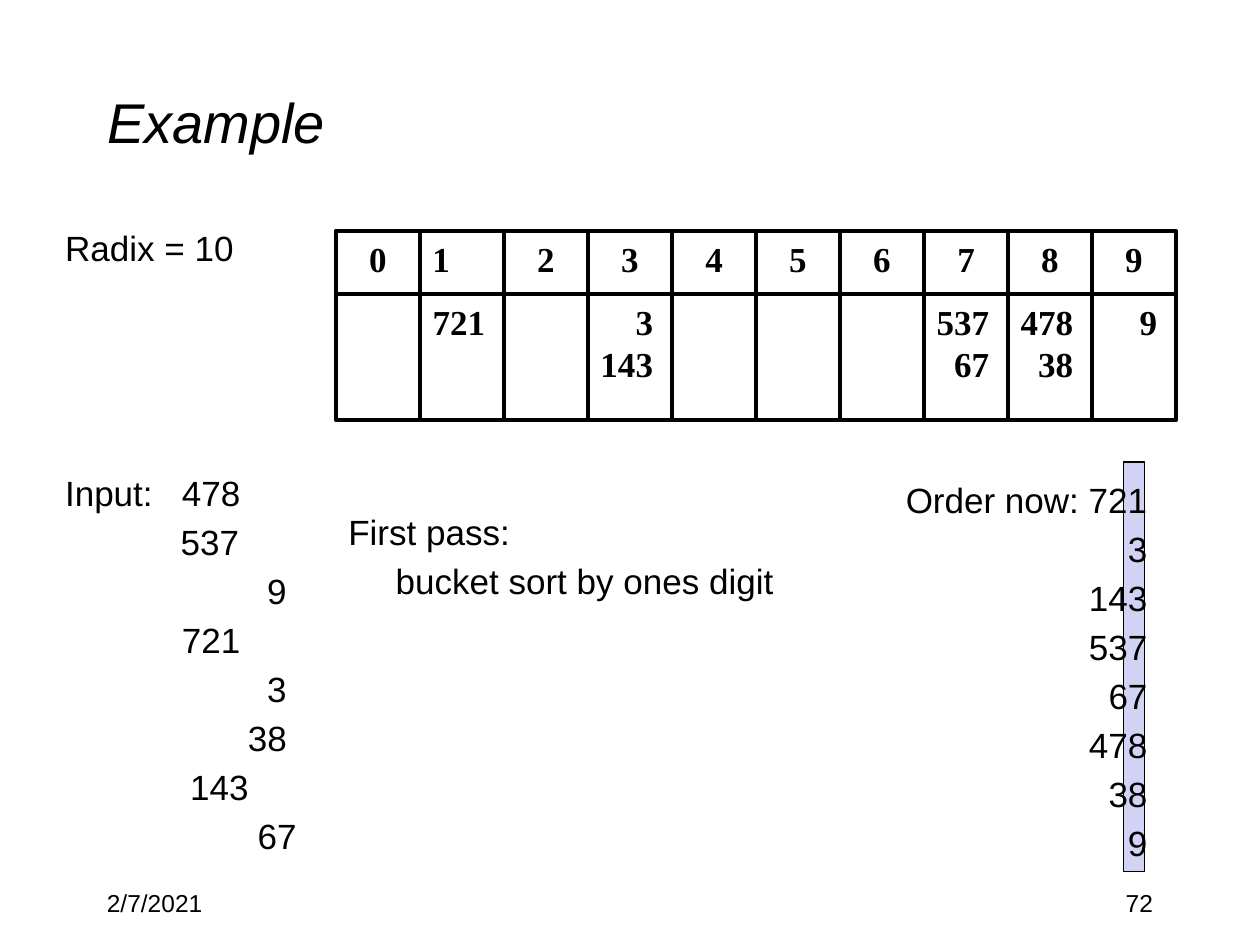
"""Build a slide showing the first pass of a radix sort."""
from lxml.etree import SubElement
from pptx import Presentation
from pptx.dml.color import RGBColor
from pptx.enum.shapes import MSO_SHAPE
from pptx.enum.text import MSO_ANCHOR, MSO_AUTO_SIZE, PP_ALIGN
from pptx.oxml.ns import qn
from pptx.util import Pt

COLORS = {"ink": "000000", "highlight": "D2D2F4"}
RADIX = 10
BUCKETS = {1: ["721"], 3: ["3", "143"], 7: ["537", "67"], 8: ["478", "38"], 9: ["9"]}
INPUT_INDENTS = [("537", 66), ("9", 115.5), ("721", 66.75), ("3", 115.5),
                 ("38", 104.5), ("143", 71.5), ("67", 110)]
ORDER = ["Order now: 721", "3", "143", "537", "67", "478", "38", "9"]


def color(name):
    return RGBColor.from_string(COLORS[name])


def write_paragraph(frame, text, first=False, size=20, font="Arial", bold=False, italic=False,
                    align=PP_ALIGN.LEFT, before=0, left=0, hanging=0, line_height=None):
    paragraph = frame.paragraphs[0] if first else frame.add_paragraph()
    paragraph.alignment = align
    paragraph.space_before = Pt(before)
    if line_height:
        paragraph.line_spacing = Pt(line_height)
    properties = paragraph._p.get_or_add_pPr()
    properties.set("marL", str(Pt(left)))
    properties.set("indent", str(-Pt(hanging)))
    SubElement(properties, qn("a:buNone"))
    run = paragraph.add_run()
    run.text = text
    run.font.name, run.font.size = font, Pt(size)
    run.font.bold, run.font.italic = bold, italic
    run.font.color.rgb = color("ink")


def place(shape, left, top, width, height, anchor=MSO_ANCHOR.TOP):
    shape.left, shape.top, shape.width, shape.height = map(Pt, (left, top, width, height))
    frame = shape.text_frame
    frame.word_wrap = True
    frame.auto_size = MSO_AUTO_SIZE.NONE
    frame.vertical_anchor = anchor
    return frame


def write_lines(frame, lines, **style):
    for index, line in enumerate(lines):
        write_paragraph(frame, line, first=index == 0, **style)


def add_text(slide, box, lines, margin_right=7.2, **style):
    frame = place(slide.shapes.add_textbox(0, 0, 0, 0), *box)
    frame.margin_right = Pt(margin_right)
    write_lines(frame, lines, **style)
    return frame


def add_rectangle(slide, box, line_width, fill=None):
    shape = slide.shapes.add_shape(MSO_SHAPE.RECTANGLE, 0, 0, 0, 0)
    shape.shadow.inherit = False
    if fill:
        shape.fill.solid()
        shape.fill.fore_color.rgb = color(fill)
    else:
        shape.fill.background()
    shape.line.color.rgb = color("ink")
    shape.line.width = Pt(line_width)
    return place(shape, *box)


def add_bucket_box(slide, box, lines, align, margin_left=7.2, margin_right=7.2):
    frame = add_rectangle(slide, box, 2.75)
    frame.margin_left, frame.margin_right = Pt(margin_left), Pt(margin_right)
    write_lines(frame, lines, font="Times New Roman", bold=True, align=align, line_height=24)


def add_buckets(slide, left, top, width, header_height, body_height):
    for digit in range(RADIX):
        x = left + digit * width
        header_align = PP_ALIGN.LEFT if digit == 1 else PP_ALIGN.CENTER
        add_bucket_box(slide, (x, top, width, header_height), [str(digit)], header_align)
        add_bucket_box(slide, (x, top + header_height, width, body_height),
                       BUCKETS.get(digit, []), PP_ALIGN.RIGHT, margin_left=0, margin_right=10.8)


def fill_input(placeholder):
    frame = place(placeholder, 30, 126, 156, 372)
    write_paragraph(frame, "Radix = 10", first=True, before=4)
    write_paragraph(frame, "Input:\t478", before=116, left=66.75, hanging=66.75)
    for number, indent in INPUT_INDENTS:
        write_paragraph(frame, number, before=4, left=indent)


def main():
    presentation = Presentation()
    presentation.slide_width, presentation.slide_height = Pt(720), Pt(540)
    slide = presentation.slides.add_slide(presentation.slide_layouts[1])
    title = place(slide.shapes.title, 54, 24, 612, 90, MSO_ANCHOR.MIDDLE)
    write_paragraph(title, "Example", first=True, size=32, italic=True)
    fill_input(slide.placeholders[1])
    add_rectangle(slide, (642, 264, 12, 234), 0.75, fill="highlight")
    add_text(slide, (54, 504, 150, 36), ["2/7/2021"], size=14)
    add_text(slide, (516, 504, 150, 36), ["72"], size=14, align=PP_ALIGN.RIGHT)
    first_pass = add_text(slide, (192, 288, 330, 72), ["First pass:"], before=4)
    write_paragraph(first_pass, "bucket sort by ones digit", before=4, left=27)
    add_buckets(slide, 192, 132, 48, 36, 72)
    add_text(slide, (510, 270, 174, 234), ORDER, margin_right=28.25, before=4,
             align=PP_ALIGN.RIGHT)
    presentation.save("out.pptx")


if __name__ == "__main__":
    main()
